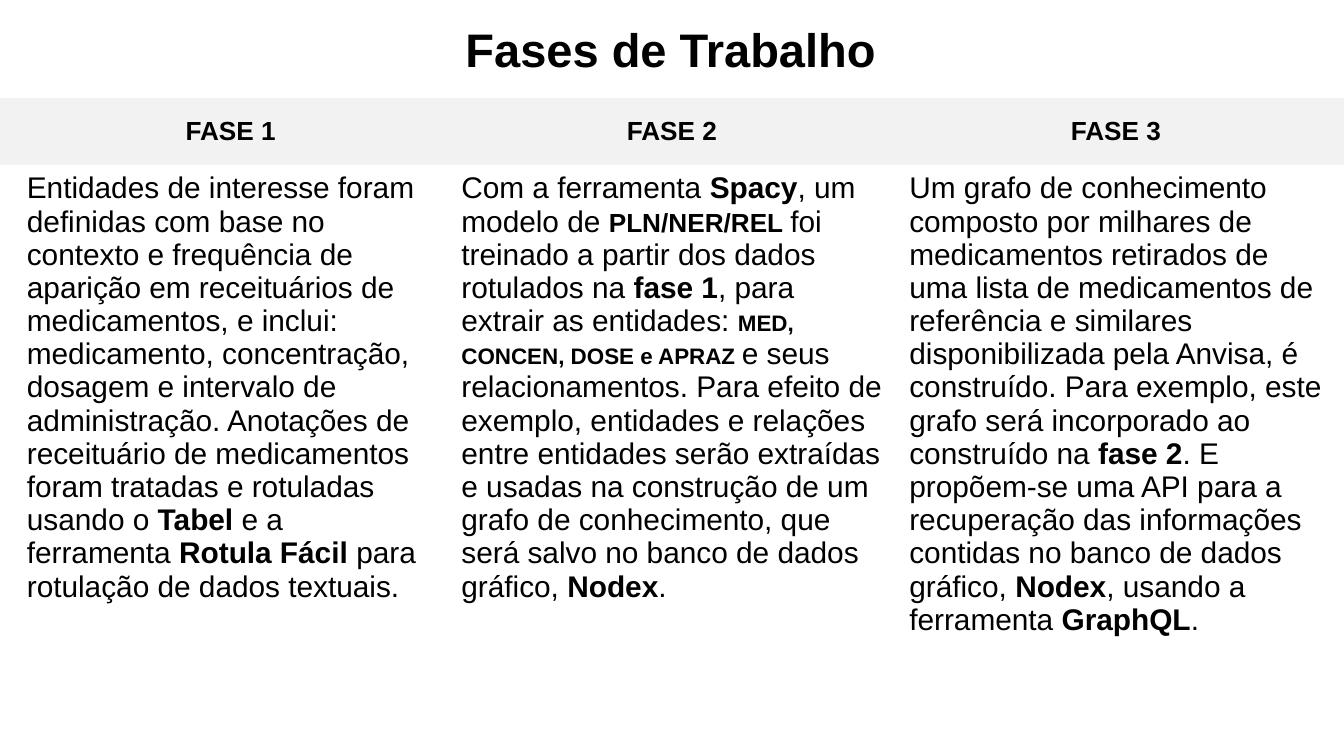
from dataclasses import dataclass

from pptx import Presentation
from pptx.dml.color import RGBColor
from pptx.enum.text import MSO_ANCHOR, PP_ALIGN
from pptx.oxml.ns import qn
from pptx.util import Inches, Pt

CENTER, LEFT = PP_ALIGN.CENTER, PP_ALIGN.LEFT
MIDDLE, TOP = MSO_ANCHOR.MIDDLE, MSO_ANCHOR.TOP

BLACK = RGBColor(0x00, 0x00, 0x00)
HEADER_GRAY = RGBColor(0xF2, 0xF2, 0xF2)
FONT = "Arial"
PLAIN_TABLE_STYLE = "{2D5ABB26-0587-4C30-8999-92F81FD0307C}"

# Widescreen page, 16:9
SLIDE_WIDTH = Inches(10)
SLIDE_HEIGHT = SLIDE_WIDTH * 9 // 16
TABLE_TOP = Inches(0.73)
HEADER_HEIGHT, BODY_HEIGHT = Inches(0.5), Inches(4.23)
HEADER_PADDING, BODY_PADDING = Inches(0.08), Inches(0.05)


@dataclass
class Span:
    text: str
    bold: bool = False
    size: float = 16


@dataclass
class Phase:
    heading: str
    spans: list[Span]
    left_margin: float = 0.1
    right_margin: float = 0.1


# One phase per table column
PHASES = [
    Phase("FASE 1", [
        Span("Entidades de interesse foram definidas com base no contexto e "
             "frequência de aparição em receituários de medicamentos, e inclui: "
             "medicamento, concentração, dosagem e intervalo de administração. "
             "Anotações de receituário de medicamentos foram tratadas e "
             "rotuladas usando o "),
        Span("Tabel", bold=True),
        Span(" e a ferramenta "),
        Span("Rotula Fácil ", bold=True),
        Span("para rotulação de dados textuais."),
    ], left_margin=0.2),
    Phase("FASE 2", [
        Span("Com a ferramenta "),
        Span("Spacy", bold=True),
        Span(", um modelo de "),
        Span("PLN/NER/REL ", bold=True, size=14),
        Span("foi treinado a partir dos dados rotulados na "),
        Span("fase 1", bold=True),
        Span(", para extrair as entidades: "),
        Span("MED, CONCEN, DOSE e APRAZ ", bold=True, size=12),
        Span("e seus relacionamentos. Para efeito de exemplo, entidades e "
             "relações entre entidades serão extraídas e usadas na construção "
             "de um grafo de conhecimento, que será salvo no banco de dados "
             "gráfico, "),
        Span("Nodex", bold=True),
        Span("."),
    ]),
    Phase("FASE 3", [
        Span("Um grafo de conhecimento composto por milhares de medicamentos "
             "retirados de uma lista de medicamentos de referência e similares "
             "disponibilizada pela Anvisa, é construído. Para exemplo, este "
             "grafo será incorporado ao construído na "),
        Span("fase 2", bold=True),
        Span(". E propõem-se uma API para a recuperação das informações "
             "contidas no banco de dados gráfico, "),
        Span("Nodex", bold=True),
        Span(", usando a ferramenta "),
        Span("GraphQL", bold=True),
        Span("."),
    ], right_margin=0.16),
]


def write_spans(para, spans: list[Span], align) -> None:
    para.alignment = align
    for span in spans:
        run = para.add_run()
        run.text = span.text
        run.font.name = FONT
        run.font.size = Pt(span.size)
        run.font.bold = span.bold
        run.font.color.rgb = BLACK


def fill_cell(cell, phase: Phase, spans: list[Span], align, anchor, padding) -> None:
    cell.margin_left = Inches(phase.left_margin)
    cell.margin_right = Inches(phase.right_margin)
    cell.margin_top = cell.margin_bottom = padding
    cell.vertical_anchor = anchor
    write_spans(cell.text_frame.paragraphs[0], spans, align)


def add_title(slide, text: str) -> None:
    title = slide.shapes.title
    title.left, title.top = Inches(0.33), Inches(0.05)
    title.width, title.height = Inches(9.32), Inches(0.63)
    frame = title.text_frame
    frame.margin_left = frame.margin_right = Inches(0.1)
    frame.margin_top = frame.margin_bottom = Inches(0.1)
    frame.vertical_anchor = MIDDLE
    write_spans(frame.paragraphs[0], [Span(text, bold=True, size=25.2)], CENTER)


def add_phase_table(slide, phases: list[Phase]) -> None:
    table = slide.shapes.add_table(
        2, len(phases), 0, TABLE_TOP, SLIDE_WIDTH, HEADER_HEIGHT + BODY_HEIGHT
    ).table
    # Plain style: no borders, no banding
    table.first_row = table.horz_banding = False
    table._tbl.tblPr.find(qn("a:tableStyleId")).text = PLAIN_TABLE_STYLE
    table.rows[0].height, table.rows[1].height = HEADER_HEIGHT, BODY_HEIGHT

    for column, phase in enumerate(phases):
        header, body = table.cell(0, column), table.cell(1, column)
        heading = [Span(phase.heading, bold=True, size=14)]
        fill_cell(header, phase, heading, CENTER, MIDDLE, HEADER_PADDING)
        header.fill.solid()
        header.fill.fore_color.rgb = HEADER_GRAY
        fill_cell(body, phase, phase.spans, LEFT, TOP, BODY_PADDING)
        body.fill.background()


def main() -> None:
    deck = Presentation()
    deck.slide_width, deck.slide_height = SLIDE_WIDTH, SLIDE_HEIGHT
    title_only = deck.slide_layouts[5]
    page = deck.slides.add_slide(title_only)
    add_title(page, "Fases de Trabalho")
    add_phase_table(page, PHASES)
    deck.save("out.pptx")


if __name__ == "__main__":
    main()
